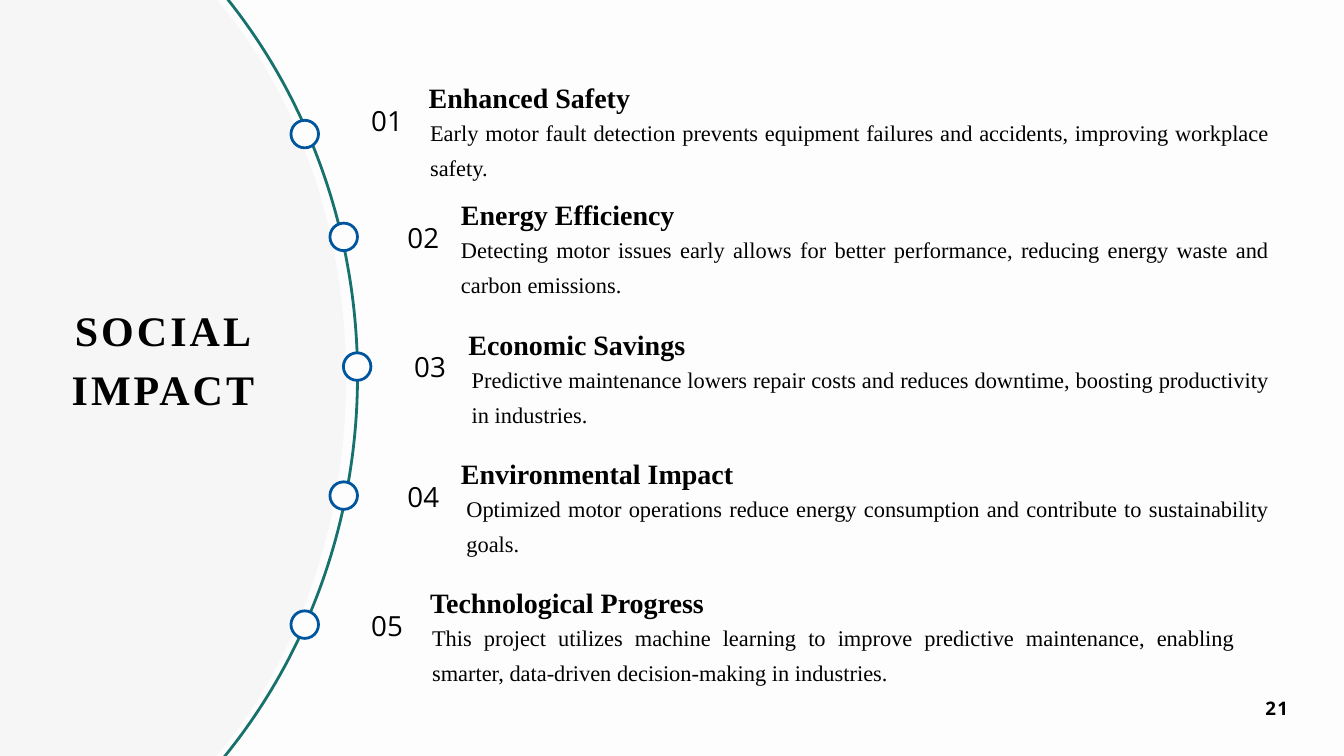
from dataclasses import dataclass

from pptx import Presentation
from pptx.dml.color import RGBColor
from pptx.enum.shapes import MSO_SHAPE as Shape
from pptx.enum.text import MSO_AUTO_SIZE as AutoSize, PP_ALIGN as Align
from pptx.util import Inches, Pt

COLUMNS, ROWS = 20, 11.25
BODY_RIGHT = 18.88


@dataclass(frozen=True)
class Theme:
    """Colours, fonts and type sizes of the slide."""
    paper: str = "FDFDFD"
    panel: str = "F6F6F6"
    arc: str = "17726D"
    node: str = "00569E"
    ink: str = "000000"
    serif: str = "Times New Roman"
    sans: str = "Open Sans"
    title: float = 45
    heading: float = 30
    number: float = 29.7
    body: float = 24
    page: float = 20
    stroke: float = 3


@dataclass(frozen=True)
class Impact:
    """One social impact and its place on the arc."""
    heading: str
    body: str
    top: float
    node_left: float
    number_left: float
    heading_left: float
    body_left: float
    node_drop: float = 0.46
    body_right: float = BODY_RIGHT


IMPACTS = [
    Impact("Enhanced Safety",
           "Early motor fault detection prevents equipment failures and accidents, "
           "improving workplace safety.",
           1.12, 4.33, 5.33, 6.38, 6.4, node_drop=0.67),
    Impact("Energy Efficiency",
           "Detecting motor issues early allows for better performance, reducing "
           "energy waste and carbon emissions.",
           2.86, 4.91, 5.87, 6.86, 6.86),
    Impact("Economic Savings",
           "Predictive maintenance lowers repair costs and reduces downtime, "
           "boosting productivity in industries.",
           4.79, 5.11, 5.97, 6.97, 7.02),
    Impact("Environmental Impact",
           "Optimized motor operations reduce energy consumption and contribute to "
           "sustainability goals.",
           6.71, 4.91, 5.87, 6.86, 6.94),
    Impact("Technological Progress",
           "This project utilizes machine learning to improve predictive maintenance, "
           "enabling smarter, data-driven decision-making in industries.",
           8.63, 4.33, 5.33, 6.4, 6.43, body_right=18.37),
]


def write(frame, text, *, size, font, color, leading, align=Align.LEFT, bold=False, spacing=0):
    """Fill a text frame with one paragraph per line of text."""
    for index, line in enumerate(text.split("\n")):
        paragraph = frame.add_paragraph() if index else frame.paragraphs[0]
        paragraph.alignment = align
        paragraph.line_spacing = Pt(leading)
        run = paragraph.add_run()
        run.text = line
        run.font.size = Pt(size)
        run.font.name = font
        run.font.bold = bold
        run.font.color.rgb = RGBColor.from_string(color)
        if spacing:
            run.font._element.set("spc", str(round(spacing * 100)))


class Deck:
    """Holds the theme and the current slide, and adds elements on its grid."""

    def __init__(self, theme):
        """Open a presentation with one blank slide."""
        self.theme = theme
        self.presentation = Presentation()
        self.presentation.slide_width = Inches(COLUMNS)
        self.presentation.slide_height = Inches(ROWS)
        self.slide = self.presentation.slides.add_slide(self.presentation.slide_layouts[6])
        fill = self.slide.background.fill
        fill.solid()
        fill.fore_color.rgb = RGBColor.from_string(theme.paper)

    def box(self, column, row, columns, rows):
        """Turn grid cells into lengths."""
        cell_width = self.presentation.slide_width / COLUMNS
        cell_height = self.presentation.slide_height / ROWS
        return (round(column * cell_width), round(row * cell_height),
                round(columns * cell_width), round(rows * cell_height))

    def oval(self, *cells, fill=None, line=None):
        """Add an ellipse with an optional fill and outline."""
        shape = self.slide.shapes.add_shape(Shape.OVAL, *self.box(*cells))
        shape.shadow.inherit = False
        if fill:
            shape.fill.solid()
            shape.fill.fore_color.rgb = RGBColor.from_string(fill)
        else:
            shape.fill.background()
        if line:
            shape.line.color.rgb = RGBColor.from_string(line)
            shape.line.width = Pt(self.theme.stroke)
        else:
            shape.line.fill.background()

    def text(self, text, *cells, **style):
        """Add a text box without margins."""
        frame = self.slide.shapes.add_textbox(*self.box(*cells)).text_frame
        frame.margin_left = frame.margin_top = frame.margin_right = frame.margin_bottom = 0
        frame.word_wrap = True
        frame.auto_size = AutoSize.SHAPE_TO_FIT_TEXT
        write(frame, text, color=self.theme.ink, **style)

    def impact(self, number, impact):
        """Add the node, number, heading and body of one impact."""
        theme = self.theme
        top = impact.top
        self.oval(impact.node_left, top + impact.node_drop, 0.41, 0.41,
                  fill=theme.paper, line=theme.node)
        self.text(f"{number:02}", impact.number_left, top + 0.34, 0.86, 0.54,
                  size=theme.number, font=theme.sans, leading=41.6, align=Align.CENTER)
        self.text(impact.heading, impact.heading_left, top, COLUMNS - impact.heading_left, 0.61,
                  size=theme.heading, font=theme.serif, leading=42, bold=True)
        self.text(impact.body, impact.body_left, top + 0.54,
                  impact.body_right - impact.body_left, 1.05,
                  size=theme.body, font=theme.serif, leading=37.2, align=Align.JUSTIFY)


def main():
    """Build the social impact slide."""
    theme = Theme()
    deck = Deck(theme)
    deck.oval(-10.83, -3.04, 16.15, 17.27, line=theme.arc)
    deck.oval(-6.57, -1.97, 11.72, 15.18, fill=theme.panel)
    for number, impact in enumerate(IMPACTS, start=1):
        deck.impact(number, impact)
    deck.text("SOCIAL\nIMPACT", -0.06, 4.41, 4.97, 1.79, size=theme.title, font=theme.serif,
              leading=63, align=Align.CENTER, bold=True, spacing=3.3)
    deck.text("21", 18.81, 10.27, 0.36, 0.4, size=theme.page, font=theme.sans,
              leading=31, align=Align.RIGHT, bold=True, spacing=1.5)
    deck.presentation.save("out.pptx")


if __name__ == "__main__":
    main()
